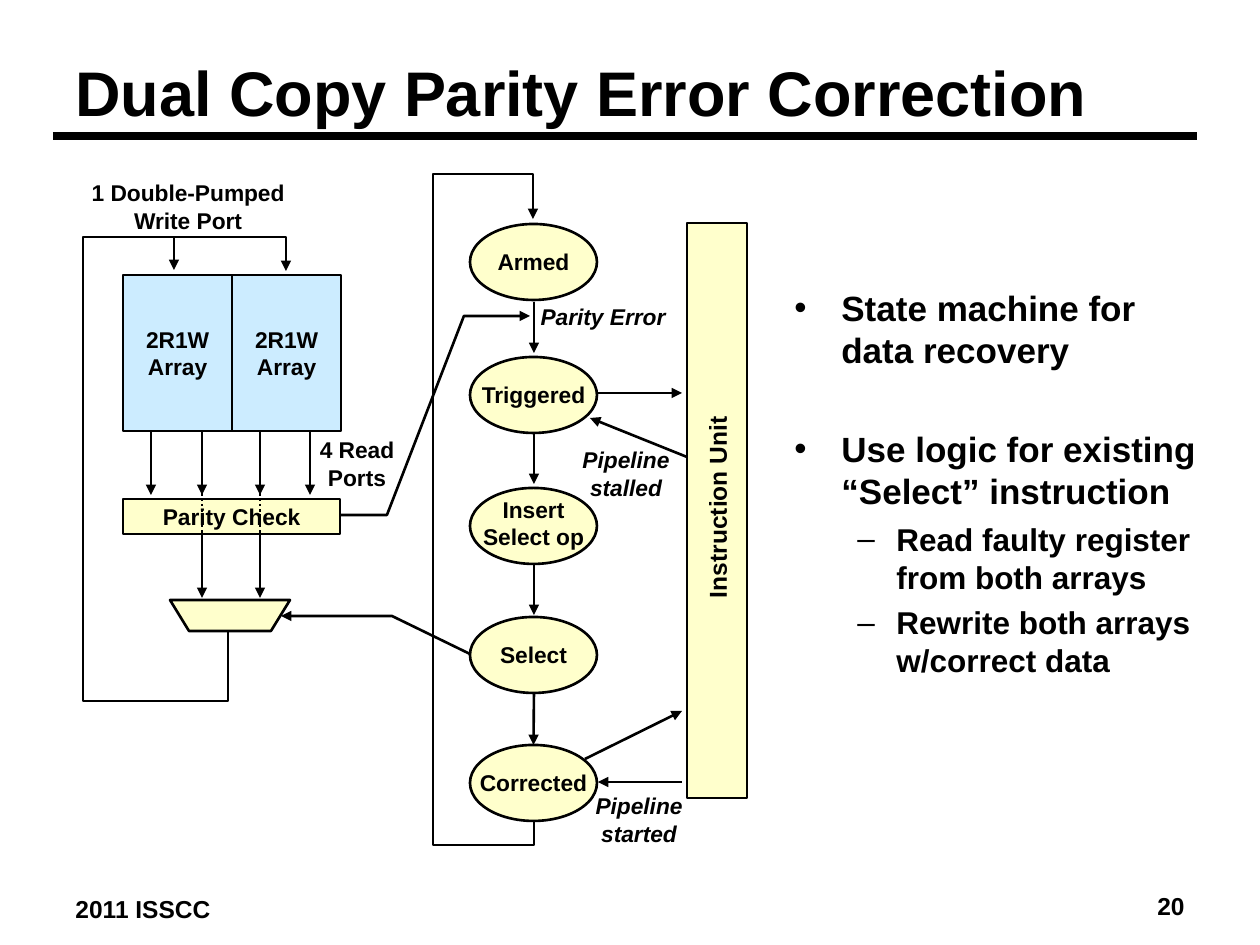
from lxml import etree
from pptx import Presentation
from pptx import util as u
from pptx.dml.color import RGBColor
from pptx.enum import dml, shapes, text
from pptx.oxml import ns

BLACK = RGBColor(0x00, 0x00, 0x00)
CREAM = RGBColor(0xFF, 0xFF, 0xCC)
BLUE = RGBColor(0xCC, 0xEC, 0xFF)
SCALE = 914400 / 126
FONT = "Arial"
LABEL_SIZE = 13
CENTER = text.PP_ALIGN.CENTER


def px(length):
    return u.Emu(round(length * SCALE))


class SlideBuilder:
    def __init__(self, slide):
        self.slide = slide

    def style_text(self, frame, content, size, align, italic=False):
        frame.text = content
        for paragraph in frame.paragraphs:
            paragraph.alignment = align
            self.style_font(paragraph.font, size, italic)

    def style_font(self, font, size, italic=False):
        font.name = FONT
        font.size = u.Pt(size)
        font.bold = True
        font.italic = italic
        font.color.rgb = BLACK

    def style_line(self, line, arrow=False, width=1.5):
        line.color.rgb = BLACK
        line.width = u.Pt(width)
        if arrow:
            outline = line._get_or_add_ln()
            etree.SubElement(outline, ns.qn("a:tailEnd"), type="triangle")

    def label(self, content, left, top, width, height, size=LABEL_SIZE, align=CENTER,
              italic=False, wrap=True, anchor=text.MSO_ANCHOR.TOP):
        box = self.slide.shapes.add_textbox(px(left), px(top), px(width), px(height))
        frame = box.text_frame
        frame.word_wrap = wrap
        frame.vertical_anchor = anchor
        self.style_text(frame, content, size, align, italic)

    def bullets(self, items, left, top, width, height):
        box = self.slide.shapes.add_textbox(px(left), px(top), px(width), px(height))
        frame = box.text_frame
        frame.word_wrap = True
        for index, (content, level, space_before) in enumerate(items):
            paragraph = frame.paragraphs[0] if index == 0 else frame.add_paragraph()
            paragraph.text = content
            paragraph.level = level
            mark, size, margin, indent = (("•", 20, 47, 47), ("–", 18, 102, 39))[level]
            properties = paragraph._p.get_or_add_pPr()
            properties.set("marL", str(px(margin)))
            properties.set("indent", str(-px(indent)))
            etree.SubElement(properties, ns.qn("a:buFont"), typeface=FONT)
            etree.SubElement(properties, ns.qn("a:buChar"), char=mark)
            paragraph.space_before = u.Pt(space_before)
            self.style_font(paragraph.font, size)

    def node(self, kind, content, left, top, width, height, fill=CREAM,
             size=LABEL_SIZE, top_inset=6, upward=False):
        shape = self.slide.shapes.add_shape(kind, px(left), px(top), px(width), px(height))
        shape.shadow.inherit = False
        shape.fill.solid()
        shape.fill.fore_color.rgb = fill
        self.style_line(shape.line)
        frame = shape.text_frame
        frame.word_wrap = False
        frame.vertical_anchor = text.MSO_ANCHOR.MIDDLE
        frame.margin_top = px(top_inset)
        if upward:
            frame._txBody.bodyPr.set("vert", "vert270")
        self.style_text(frame, content, size, CENTER)
        return shape

    def line(self, start, end, arrow=True, width=1.5, dash=None, target=None):
        connector = self.slide.shapes.add_connector(
            shapes.MSO_CONNECTOR.STRAIGHT, *map(px, start + end))
        etree.SubElement(connector._element.spPr, ns.qn("a:effectLst"))
        if target is not None:
            connector.end_connect(target, 0)
        if dash:
            connector.line.dash_style = dash
        self.style_line(connector.line, arrow, width)

    def outline(self, points, fill=None):
        closed = fill is not None
        builder = self.slide.shapes.build_freeform(*points[0], scale=SCALE)
        builder.add_line_segments(points[1:], close=closed)
        shape = builder.convert_to_shape()
        shape.shadow.inherit = False
        if closed:
            shape.fill.solid()
            shape.fill.fore_color.rgb = fill
        else:
            shape.fill.background()
        self.style_line(shape.line, arrow=not closed)


def draw_datapath(builder):
    rectangle = shapes.MSO_SHAPE.RECTANGLE
    for left in (123, 232):
        builder.node(rectangle, "2R1W\nArray", left, 275, 109, 156, BLUE)
    for x in (151, 202, 260, 310):
        builder.line((x, 432), (x, 495))
    builder.label("4 Read\nPorts", 302, 430, 110, 68)
    builder.node(rectangle, "Parity Check", 123, 499, 217, 35)
    for x in (202, 260):
        builder.line((x, 536), (x, 598))
        builder.line((x, 488), (x, 551), arrow=False, dash=dml.MSO_LINE.ROUND_DOT)
    builder.label("1 Double-Pumped Write Port", 72, 173, 232, 68)
    builder.line((174, 238), (174, 270))
    builder.outline([(228, 631), (228, 701), (83, 701), (83, 237), (286, 237), (286, 271)])
    builder.outline([(170, 600), (189, 631), (271, 631), (290, 600)], CREAM)


def draw_state_machine(builder):
    builder.node(shapes.MSO_SHAPE.RECTANGLE, "Instruction Unit", 687, 223, 60, 575,
                 size=14, upward=True)
    states = (("Armed", 224, 6), ("Triggered", 357, 6), ("Insert\vSelect op", 488, 0),
              ("Select", 617, 6), ("Corrected", 745, 6))
    for name, top, inset in states:
        state = builder.node(shapes.MSO_SHAPE.OVAL, name, 470, top, 127, 76, top_inset=inset)
    for top in (302, 433, 564):
        builder.line((534, top), (534, top + 51))
    builder.line((534, 694), (534, 745), target=state)
    for start, end in (((687, 457), (590, 418)), ((598, 393), (682, 393)),
                       ((585, 759), (682, 711)), ((682, 782), (598, 782))):
        builder.line(start, end)
    for content, left, top, width, height in (
            ("Pipeline\vstalled", 570, 440, 112, 68),
            ("Pipeline\vstarted", 583, 786, 112, 68),
            ("Parity Error", 528, 297, 150, 40)):
        builder.label(content, left, top, width, height, italic=True, wrap=False)
    builder.outline([(340, 515), (387, 515), (464, 316), (530, 316)])
    builder.outline([(470, 654), (392, 616), (281, 616)])
    builder.outline([(534, 820), (534, 845), (433, 845), (433, 174), (533, 174), (533, 219)])


def main():
    presentation = Presentation()
    presentation.slide_width = u.Inches(10)
    presentation.slide_height = u.Inches(7.5)
    builder = SlideBuilder(presentation.slides.add_slide(presentation.slide_layouts[6]))
    left, right = text.PP_ALIGN.LEFT, text.PP_ALIGN.RIGHT
    builder.line((53, 136), (1197, 136), arrow=False, width=4.5)
    builder.label("2011 ISSCC", 63, 888, 294, 39, 14, left)
    builder.label("20", 903, 885, 294, 43, 14, right)
    builder.label("Dual Copy Parity Error Correction", 63, 38, 1134, 106, 36, left,
                  anchor=text.MSO_ANCHOR.MIDDLE)
    builder.bullets((("State machine for data recovery", 0, 0),
                     ("Use logic for existing “Select” instruction", 0, 33),
                     ("Read faulty register from both arrays", 1, 4.5),
                     ("Rewrite both arrays w/correct data", 1, 4.5)), 782, 280, 447, 523)
    draw_datapath(builder)
    draw_state_machine(builder)
    presentation.save("out.pptx")


if __name__ == "__main__":
    main()
